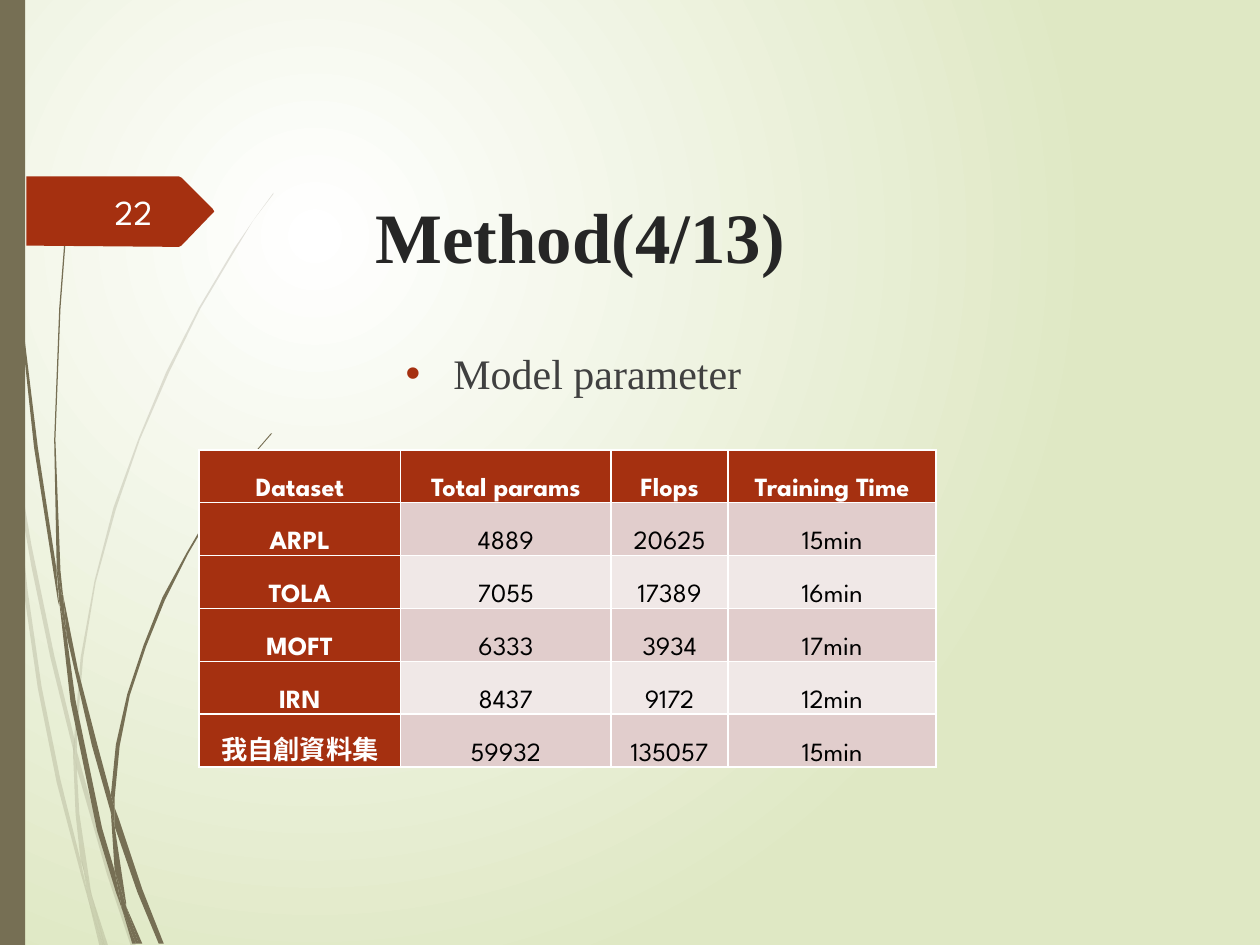
from lxml.etree import SubElement
from pptx import Presentation
from pptx.dml.color import RGBColor
from pptx.enum.shapes import MSO_SHAPE
from pptx.enum.text import MSO_ANCHOR, PP_ALIGN
from pptx.oxml import parse_xml
from pptx.oxml.ns import nsdecls, qn
from pptx.util import Inches, Pt

OLIVE, RUST, WHITE = "766F54", "A53010", "FFFFFF"
SANS, SERIF = "League Spartan", "Times New Roman"

PALE = [
    ".08 3.5 .06 3.22 0 2.82 0 2.99 .07 3.44",
    ".4 5.22 .59 5.99 .59 5.86 .43 5.2 .25 4.33 .1 3.45 .12 3.76 .25 4.5",
    ".64 6.07 .61 5.96 .61 6.1 .85 6.94 1.04 7.51 1.08 7.51 .88 6.92",
    ".83 7.51 .86 7.51 .73 7.11",
    ".64 6.83 .48 6.19 .33 5.45 .22 4.69 .12 3.76 .08 3.5 .19 4.7 .3 5.46 .45 6.21 "
    ".64 6.93 .7 7.14 .69 7.07",
    ".58 5.99 .6 6.46 .64 6.83 .67 6.92 .73 7.11 .72 7.06 .63 6.46 .61 6.1 .61 6.08",
    ".61 5.84 .66 5.22 .76 4.62 .92 4.04 1.11 3.49 1.34 2.96 1.59 2.45 1.87 1.98 2.01 1.75 "
    "2.17 1.54 2.17 1.53 2.01 1.75 1.86 1.97 1.58 2.44 1.32 2.95 1.1 3.48 .9 4.03 .75 4.61 "
    ".64 5.22 .59 5.84 .59 5.86 .61 5.96",
    ".7 7.14 .79 7.51 .82 7.51",
    ".61 6.08 .61 6.1 .61 5.96 .59 5.86 .58 5.99",
    ".67 6.92 .65 6.83 .69 7.07 .7 7.14 .82 7.51 .83 7.51 .73 7.11",
]
DARK = [
    ".05 1.1 .14 2.33 .27 3.55 .46 4.77 .47 4.81 .45 4.57 .45 4.53 .3 3.55 .15 2.32 .06 1.09 "
    ".04 .48 .03 0 .02 0 .03 .48",
    ".73 5.92 .88 6.45 .88 6.33 .88 6.31 .77 5.9 .62 5.32 .5 4.72 .53 5.05",
    ".94 6.49 .91 6.41 .91 6.56 1.09 7.08 1.26 7.49 1.3 7.49 1.13 7.06",
    ".91 6.91 .81 6.57 .6 5.56 .53 5.05 .47 4.77 .56 5.57 .77 6.59 .92 7.08 .97 7.22 .96 7.17",
    ".5 4.72 .48 4.53 .44 3.49 .48 2.45 .52 1.93 .58 1.41 .51 1.93 .47 2.45 .43 3.49 .45 4.49 "
    ".49 4.72",
    "1.1 7.49 1.13 7.49 1 7.19",
    ".47 4.77 .53 5.05 .5 4.72 .49 4.72 .45 4.49 .45 4.53",
    ".91 6.33 .95 5.92 1.03 5.52 1.16 5.13 1.31 4.76 1.49 4.4 1.69 4.06 1.91 3.74 2.03 3.59 "
    "2.16 3.44 2.15 3.44 2.03 3.58 1.91 3.73 1.68 4.05 1.48 4.39 1.29 4.74 1.14 5.12 1.01 5.51 "
    ".92 5.91 .88 6.31 .91 6.41",
    ".97 7.22 1.05 7.49 1.08 7.49",
    ".88 6.45 .91 6.91 .96 7.06 1 7.19 1 7.16 .91 6.56 .9 6.51",
    ".88 6.45 .9 6.51 .91 6.56 .91 6.41 .88 6.31 .88 6.33",
    ".96 7.06 .91 6.91 .96 7.17 .97 7.22 1.08 7.49 1.1 7.49 1 7.19",
]
TAG = ".21 1.4 1.42 1.4 1.44 1.41 1.69 1.66 1.7 1.68 1.69 1.69 1.44 1.95 1.42 1.96 .21 1.95"
ROWS = [
    ("Dataset", "Total params", "Flops", "Training Time"),
    ("ARPL", "4889", "20625", "15min"),
    ("TOLA", "7055", "17389", "16min"),
    ("MOFT", "6333", "3934", "17min"),
    ("IRN", "8437", "9172", "12min"),
    ("我自創資料集", "59932", "135057", "15min"),
]


def tint(code):
    """Turn a hex string into a colour."""
    return RGBColor.from_string(code)


class Deck:
    """Hold the style and the current slide."""

    def __init__(self):
        """Open a deck with one blank slide."""
        self.prs = Presentation()
        self.prs.slide_width, self.prs.slide_height = Inches(10), Inches(7.5)
        self.slide = self.prs.slides.add_slide(self.prs.slide_layouts[6])
        self.shapes = self.slide.shapes

    def glow(self, inner, outer):
        """Fill the background with a round gradient."""
        fill = self.slide.background.fill
        fill.gradient()
        for stop, code in zip(fill.gradient_stops, (inner, outer)):
            stop.color.rgb = tint(code)
        grad = self.slide.element.find(".//" + qn("a:gradFill"))
        grad.replace(grad.find(qn("a:lin")), parse_xml(
            f'<a:path {nsdecls("a")} path="circle">'
            '<a:fillToRect l="50000" t="50000" r="100000" b="100000"/></a:path>'))

    def paint(self, shape, code, alpha=100):
        """Give a shape a flat fill, no line and no shadow."""
        shape.shadow.inherit = False
        shape.line.fill.background()
        shape.fill.solid()
        shape.fill.fore_color.rgb = tint(code)
        if alpha < 100:
            node = shape.element.spPr.find(".//" + qn("a:srgbClr"))
            SubElement(node, qn("a:alpha"), val=str(alpha * 1000))

    def outline(self, trail, code, alpha=100, home=None):
        """Draw a closed outline through x y pairs."""
        nums = [Inches(float(n)) for n in trail.split()]
        first, *rest = zip(nums[::2], nums[1::2])
        pen = (home or self.shapes).build_freeform(*first, scale=1.0)
        pen.add_line_segments(rest, close=True)
        self.paint(pen.convert_to_shape(), code, alpha)

    def grass(self, blades, code, alpha=100):
        """Draw a group of blades."""
        group = self.shapes.add_group_shape()
        for blade in blades:
            self.outline(blade, code, alpha, group.shapes)

    def bar(self, x, y, w, h, code):
        """Draw a plain rectangle."""
        box = self.shapes.add_shape(MSO_SHAPE.RECTANGLE, *map(Inches, (x, y, w, h)))
        self.paint(box, code)

    def style(self, para, face, size, code, bold=False):
        """Set the font of a paragraph."""
        font = para.font
        font.name, font.size, font.bold = face, Pt(size), bold
        font.color.rgb = tint(code)

    def text(self, x, y, w, h, words, face, size, code, bold=False,
             align=PP_ALIGN.LEFT, anchor=MSO_ANCHOR.TOP):
        """Add a line of text and return its paragraph."""
        frame = self.shapes.add_textbox(*map(Inches, (x, y, w, h))).text_frame
        frame.word_wrap, frame.vertical_anchor = True, anchor
        para = frame.paragraphs[0]
        para.text, para.alignment = words, align
        self.style(para, face, size, code, bold)
        return para

    def bullet(self, para, code):
        """Put a coloured dot before a paragraph."""
        para.space_before = Pt(10)
        props = para._p.get_or_add_pPr()
        props.set("marL", str(Inches(0.38)))
        props.set("indent", str(-Inches(0.38)))
        dot = parse_xml(f'<a:buClr {nsdecls("a")}><a:srgbClr val="{code}"/></a:buClr>')
        font = parse_xml(f'<a:buFont {nsdecls("a")} typeface="Arial"/>')
        mark = parse_xml(f'<a:buChar {nsdecls("a")} char="•"/>')
        props.find(qn("a:spcBef")).addnext(dot)
        dot.addnext(font)
        font.addnext(mark)

    def cell(self, cell, words, fill, ink, bold):
        """Fill one table cell."""
        cell.text, cell.vertical_anchor = words, MSO_ANCHOR.BOTTOM
        cell.margin_left = cell.margin_right = cell.margin_top = Inches(0.01)
        cell.margin_bottom = 0
        para = cell.text_frame.paragraphs[0]
        para.alignment = PP_ALIGN.CENTER
        self.style(para, SANS, 15, ink, bold)
        cell.fill.solid()
        cell.fill.fore_color.rgb = tint(fill)

    def table(self, x, y, cols, high, rows):
        """Add a banded table with a head row and a head column."""
        size = map(Inches, (x, y, sum(cols), high * len(rows)))
        grid = self.shapes.add_table(len(rows), len(cols), *size).table
        grid.first_col = True
        for col, wide in zip(grid.columns, cols):
            col.width = Inches(wide)
        for r, row in enumerate(rows):
            grid.rows[r].height = Inches(high)
            for c, words in enumerate(row):
                head = r == 0 or c == 0
                fill = RUST if head else ("F0E8E7", "E1CDCC")[r % 2]
                self.cell(grid.cell(r, c), words, fill, WHITE if head else "000000", head)


def main():
    """Build the slide."""
    deck = Deck()
    deck.glow(WHITE, "DFE8C4")
    deck.grass(PALE, OLIVE, 20)
    deck.grass(DARK, OLIVE)
    deck.bar(0, 0, 0.2, 7.5, OLIVE)
    deck.outline(TAG, RUST)
    deck.text(2.88, 1.48, 5.32, 1.05, "Method(4/13)", SERIF, 40.5, "262626", True)
    deck.text(0.67, 1.48, 0.64, 0.4, "22", SANS, 20, "FEFFFF",
              align=PP_ALIGN.RIGHT, anchor=MSO_ANCHOR.MIDDLE)
    deck.table(1.58, 3.57, (1.6, 1.67, 0.93, 1.65), 0.42, ROWS)
    para = deck.text(3.12, 2.71, 6.79, 0.5, "Model parameter", SERIF, 24, "404040")
    deck.bullet(para, RUST)
    deck.prs.save("out.pptx")


if __name__ == "__main__":
    main()
